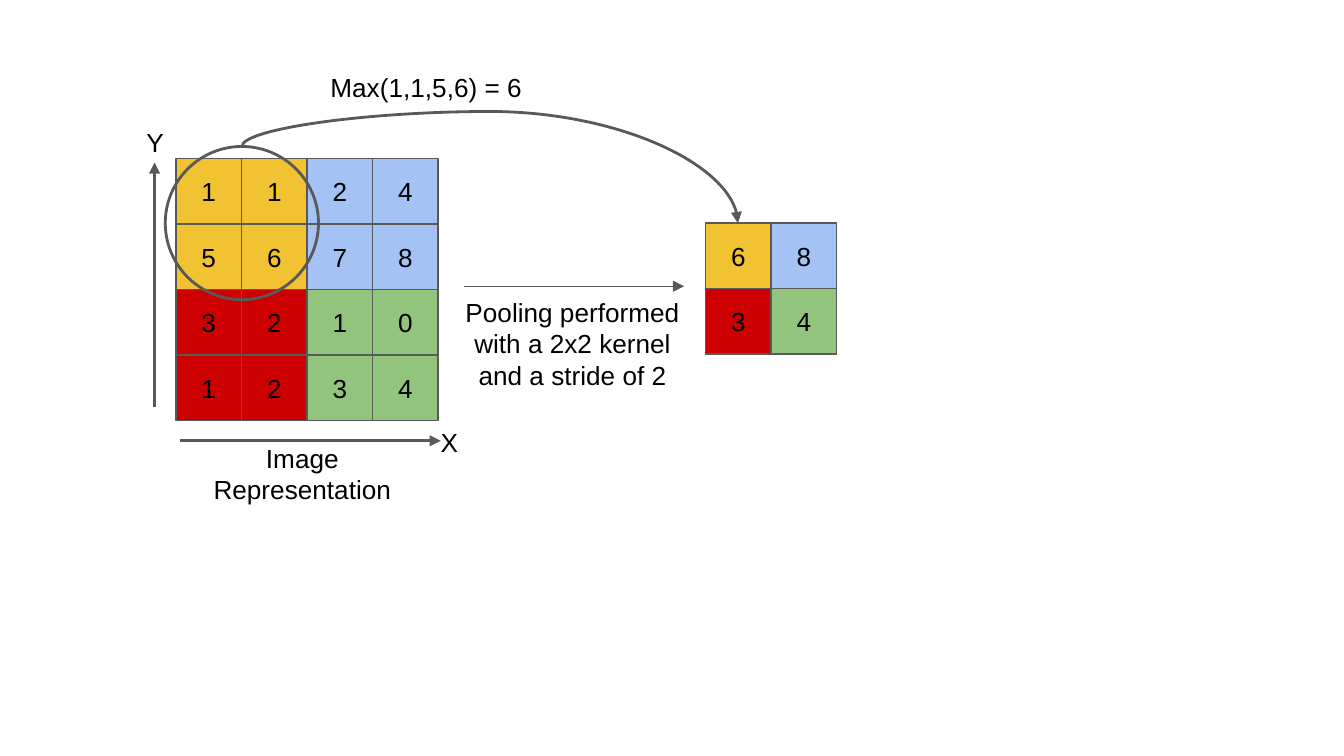
from lxml import etree
from pptx import Presentation
from pptx.dml.color import RGBColor
from pptx.enum.shapes import MSO_CONNECTOR, MSO_SHAPE
from pptx.enum.text import MSO_ANCHOR, PP_ALIGN
from pptx.oxml.ns import qn
from pptx.util import Inches, Pt

LINE, CURVE = MSO_CONNECTOR.STRAIGHT, MSO_CONNECTOR.CURVE
RECT, OVAL = MSO_SHAPE.RECTANGLE, MSO_SHAPE.OVAL
LEFT, MID = PP_ALIGN.LEFT, PP_ALIGN.CENTER
TOP, CENTER = MSO_ANCHOR.TOP, MSO_ANCHOR.MIDDLE

# Content
INPUT = ["1124", "5678", "3210", "1234"]
POOLED = ["68", "34"]
QUADS = [["F1C232", "A4C2F4"], ["CC0000", "93C47D"]]
GRAY, BLACK = "595959", "000000"
WIDE = 10
HIGH = WIDE * 9 / 16
CELL = 1.95 / len(INPUT)
# values, left, top, cells per colour block
GRIDS = [(INPUT, 1.31, 1.18, 2), (POOLED, 5.25, 1.66, 1)]
# from, to, width
AXES = [
    ((1.34, 3.28), (3.28, 3.28), 1.5),
    ((1.15, 3.03), (1.15, 1.21), 1.5),
]
STEP = ((3.45, 2.13), (5.09, 2.13), 0.75)
# text, box, alignment, anchor
LABELS = [
    ("Max(1,1,5,6) = 6", (2.36, 0.43, 1.88, 0.76), LEFT, TOP),
    ("Image Representation", (1.31, 3.19, 1.88, 0.76), MID, TOP),
    ("Y", (0.99, 0.84, 0.49, 0.76), LEFT, TOP),
    ("X", (3.18, 3.07, 0.49, 0.76), LEFT, TOP),
]
NOTE = ("Pooling performed with a 2x2 kernel and a stride of 2",
        (3.25, 2.07, 2.02, 0.97), MID, CENTER)

prs = Presentation()
prs.slide_width, prs.slide_height = Inches(WIDE), Inches(HIGH)
shapes = prs.slides.add_slide(prs.slide_layouts[6]).shapes


def color(code):
    return RGBColor.from_string(code)


def stroke(item, width):
    item.line.color.rgb = color(GRAY)
    item.line.width = Pt(width)


def write(shape, text, align, anchor):
    frame = shape.text_frame
    frame.word_wrap = True
    frame.vertical_anchor = anchor
    frame.margin_left = frame.margin_right = Inches(0.1)
    frame.margin_top = frame.margin_bottom = Inches(0.1)
    para = frame.paragraphs[0]
    para.text, para.alignment = text, align
    para.font.name, para.font.size = "Arial", Pt(14)
    para.font.color.rgb = color(BLACK)


def label(text, box, align, anchor):
    write(shapes.add_textbox(*map(Inches, box)), text, align, anchor)


def arrow(kind, start, end, width):
    link = shapes.add_connector(kind, *map(Inches, start + end))
    stroke(link, width)
    etree.SubElement(link.line._get_or_add_ln(), qn("a:tailEnd"), type="triangle")
    etree.SubElement(link._element.spPr, qn("a:effectLst"))
    return link


# Number grids
cells = {}
for grid, (rows, left, top, block) in enumerate(GRIDS):
    for r, row in enumerate(rows):
        for c, digit in enumerate(row):
            box = (left + c * CELL, top + r * CELL, CELL, CELL)
            cell = shapes.add_shape(RECT, *map(Inches, box))
            cell.shadow.inherit = False
            cell.fill.solid()
            cell.fill.fore_color.rgb = color(QUADS[r // block][c // block])
            stroke(cell, 0.75)
            write(cell, digit, MID, CENTER)
            cells[grid, r, c] = cell

# Axes
for axis in AXES:
    arrow(LINE, *axis)

# Ring around the first kernel window
ring = shapes.add_shape(OVAL, *map(Inches, (1.23, 1.09, 1.14, 1.14)))
ring.shadow.inherit = False
ring.fill.background()
stroke(ring, 1.5)

# Curve from the ring to its pooled cell, turned so that it leaves upwards
x1, y1, x2, y2 = 1.8, 1.09, 5.49, 1.66
curve = arrow(CURVE, (x1, y1), (x2, y2), 1.5)
curve.begin_connect(ring, 0)
curve.end_connect(cells[1, 0, 0], 0)
wide, high = y2 - y1, x2 - x1
curve.left, curve.top = Inches((x1 + x2 - wide) / 2), Inches((y1 + y2 - high) / 2)
curve.width, curve.height = Inches(wide), Inches(high)
form = curve._element.spPr.find(qn("a:xfrm"))
form.set("rot", str(270 * 60000))
form.set("flipH", "1")
guides = curve._element.spPr.find(qn("a:prstGeom")).get_or_add_avLst()
etree.SubElement(guides, qn("a:gd"), name="adj1", fmla="val -45700")

# Labels, then the pooling step with its note
for item in LABELS:
    label(*item)
arrow(LINE, *STEP)
label(*NOTE)

prs.save("out.pptx")
